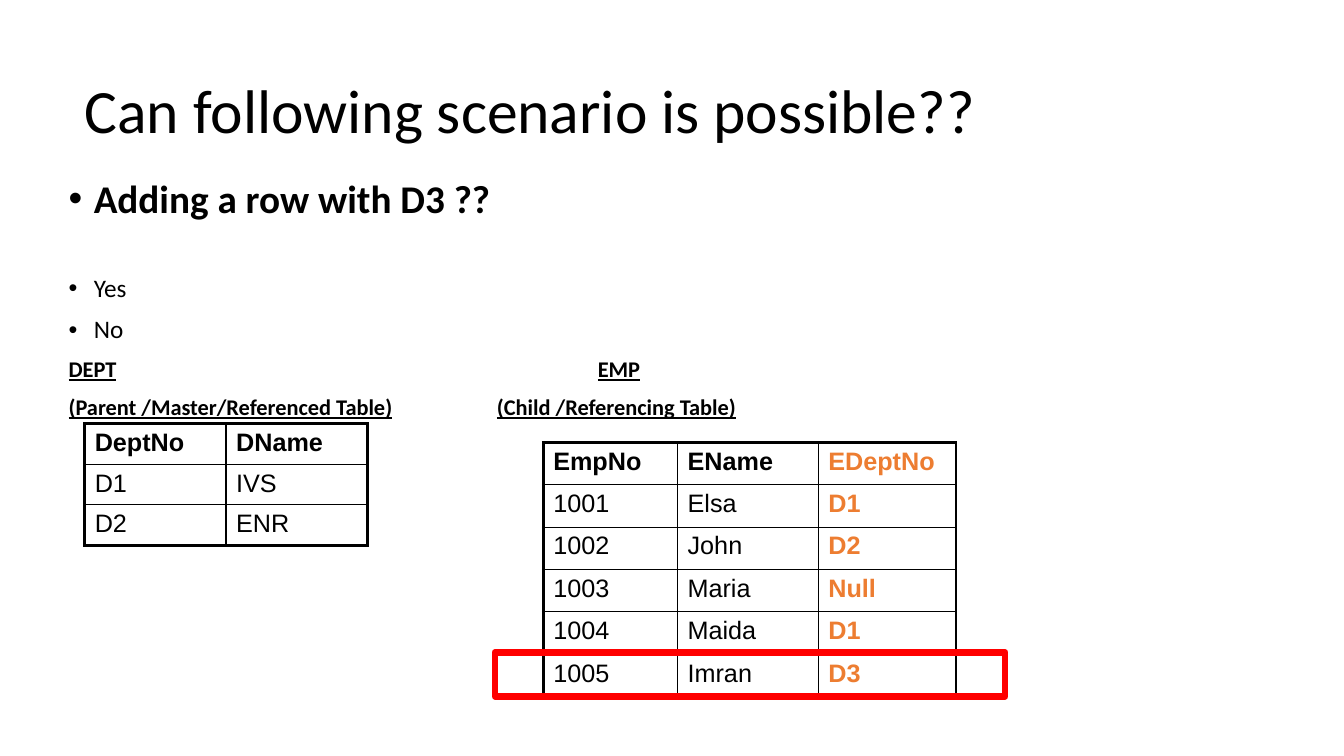
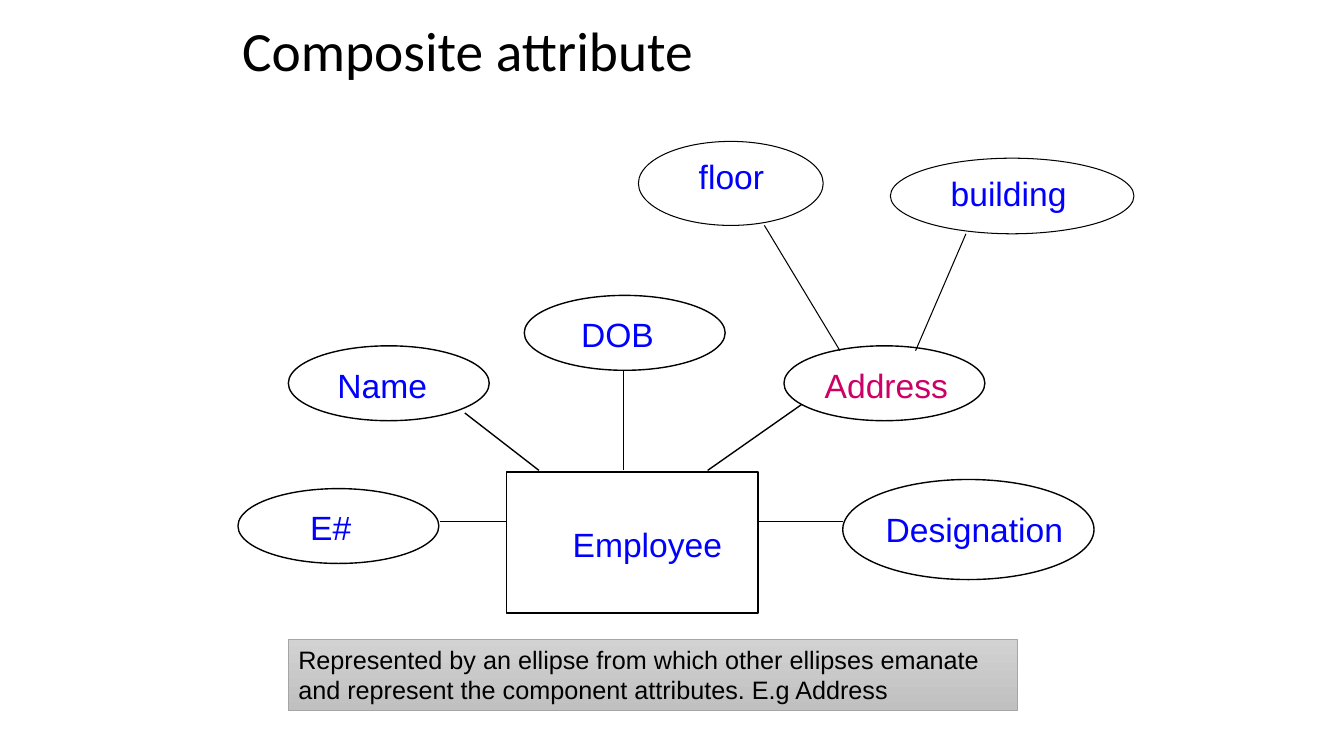
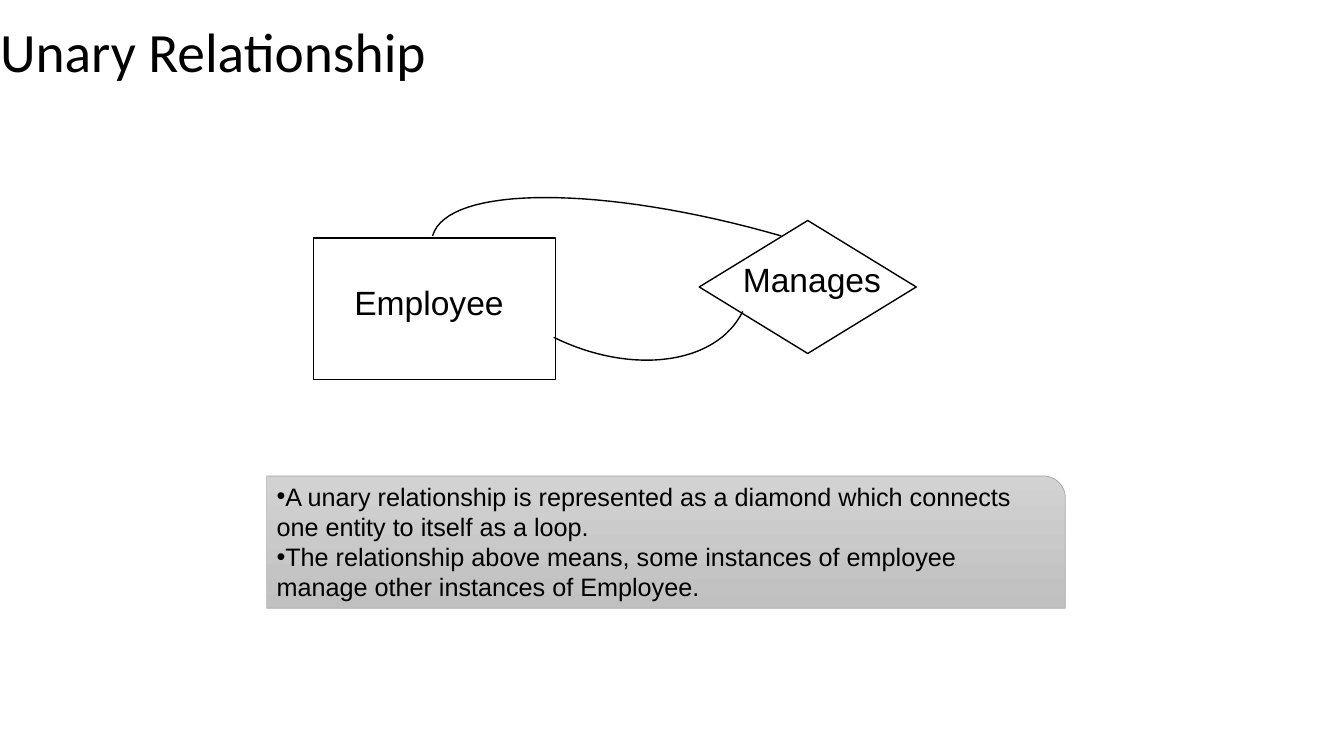
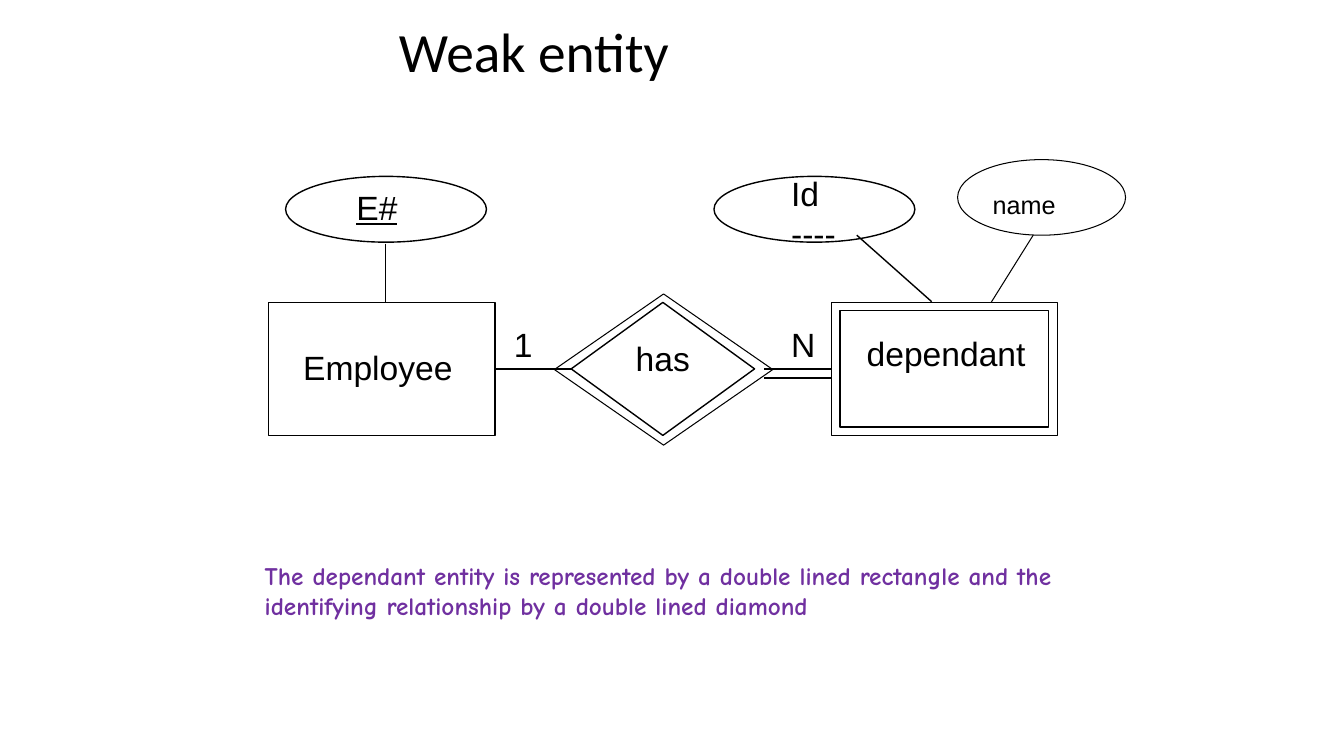
from dataclasses import dataclass

from lxml.etree import SubElement
from pptx import Presentation
from pptx.dml.color import RGBColor
from pptx.enum.shapes import MSO_CONNECTOR, MSO_SHAPE
from pptx.enum.text import MSO_ANCHOR, PP_ALIGN
from pptx.oxml.ns import qn
from pptx.util import Pt

BLACK = RGBColor(0x00, 0x00, 0x00)
BLUE = RGBColor(0x00, 0x00, 0xFF)
MAGENTA = RGBColor(0xCC, 0x00, 0x66)
ORANGE = RGBColor(0xED, 0x7D, 0x31)
PURPLE = RGBColor(0x70, 0x30, 0xA0)
RED = RGBColor(0xFF, 0x00, 0x00)
NOTE_TOP = RGBColor(0xD2, 0xD2, 0xD2)
NOTE_BOTTOM = RGBColor(0xC0, 0xC0, 0xC0)
NOTE_EDGE = RGBColor(0xA5, 0xA5, 0xA5)

HEADING_FONT = "Calibri"
LABEL_FONT = "Arial"
NOTE_FONT = "Comic Neue"
OUTER_BORDER = 2.25
INNER_BORDER = 1
CURVE_STEPS = 32

OVAL = MSO_SHAPE.OVAL
RECTANGLE = MSO_SHAPE.RECTANGLE
DIAMOND = MSO_SHAPE.DIAMOND


@dataclass(frozen=True)
class Area:
    left: float
    top: float
    width: float
    height: float

    def lengths(self) -> tuple:
        return Pt(self.left), Pt(self.top), Pt(self.width), Pt(self.height)


@dataclass(frozen=True)
class Figure:
    kind: MSO_SHAPE
    area: Area
    weight: float = 1
    color: RGBColor = BLACK


@dataclass(frozen=True)
class Label:
    text: str
    area: Area
    color: RGBColor = BLACK
    size: float = 24
    underline: bool = False
    bold: bool = False
    font: str = LABEL_FONT


@dataclass(frozen=True)
class Link:
    start: tuple[float, float]
    end: tuple[float, float]
    weight: float = 1


@dataclass(frozen=True)
class Grid:
    left: float
    top: float
    columns: tuple[float, ...]
    row_height: float
    rows: tuple[tuple[str, ...], ...]
    key_column: int = -1


@dataclass(frozen=True)
class Line:
    spans: tuple[str, ...]
    size: float
    before: float = 9
    bold: bool = False
    bullet: bool = False
    tab: float = 0


def style_font(font, name: str, size: float, color: RGBColor, bold: bool = False) -> None:
    font.name, font.size, font.bold = name, Pt(size), bold
    font.color.rgb = color


def add_bullet(paragraph, hang: float = 0) -> None:
    properties = paragraph._p.get_or_add_pPr()
    properties.set("marL", str(Pt(hang)))
    properties.set("indent", str(-Pt(hang)))
    SubElement(properties, qn("a:buFont")).set("typeface", "Arial")
    SubElement(properties, qn("a:buChar")).set("char", "•")


def add_tab(paragraph, position: float) -> None:
    stops = SubElement(paragraph._p.get_or_add_pPr(), qn("a:tabLst"))
    stop = SubElement(stops, qn("a:tab"))
    stop.set("pos", str(Pt(position)))
    stop.set("algn", "l")


def add_box(page, area: Area):
    frame = page.shapes.add_textbox(*area.lengths()).text_frame
    frame.word_wrap = True
    return frame


def add_title(page, text: str, area: Area, size: float = 39.6, align=PP_ALIGN.LEFT) -> None:
    frame = add_box(page, area)
    frame.margin_left = 0
    frame.vertical_anchor = MSO_ANCHOR.MIDDLE
    paragraph = frame.paragraphs[0]
    paragraph.text = text
    paragraph.alignment = align
    paragraph.line_spacing = 0.9
    style_font(paragraph.font, HEADING_FONT, size, BLACK)


def add_label(page, label: Label) -> None:
    frame = add_box(page, label.area)
    frame.text = label.text
    for paragraph in frame.paragraphs:
        style_font(paragraph.font, label.font, label.size, label.color, label.bold)
        paragraph.font.underline = label.underline


def outline(shape, weight: float, color: RGBColor = BLACK) -> None:
    shape.line.width = Pt(weight)
    shape.line.color.rgb = color


def add_figure(page, figure: Figure):
    shape = page.shapes.add_shape(figure.kind, *figure.area.lengths())
    shape.shadow.inherit = False
    shape.fill.background()
    outline(shape, figure.weight, figure.color)
    return shape


def add_link(page, link: Link):
    ends = [Pt(value) for value in link.start + link.end]
    connector = page.shapes.add_connector(MSO_CONNECTOR.STRAIGHT, *ends)
    outline(connector, link.weight)
    SubElement(connector._element.spPr, qn("a:effectLst"))
    return connector


def add_curve(page, points: tuple[tuple[float, float], ...]) -> None:
    def at(step: int) -> tuple[int, int]:
        t = step / CURVE_STEPS
        weights = ((1 - t) ** 3, 3 * t * (1 - t) ** 2, 3 * t * t * (1 - t), t**3)
        return tuple(
            Pt(sum(weight * point[axis] for weight, point in zip(weights, points)))
            for axis in (0, 1)
        )

    builder = page.shapes.build_freeform(*at(0))
    builder.add_line_segments([at(step) for step in range(1, CURVE_STEPS + 1)], close=False)
    curve = builder.convert_to_shape()
    curve.shadow.inherit = False
    curve.fill.background()
    outline(curve, 1)


def add_note(page, kind, area: Area, texts: tuple[str, ...], bullets: bool = False) -> None:
    note = add_figure(page, Figure(kind, area, 0.5, NOTE_EDGE))
    note.fill.gradient()
    note.fill.gradient_angle = 270
    for stop, color in zip(note.fill.gradient_stops, (NOTE_TOP, NOTE_BOTTOM)):
        stop.color.rgb = color
    frame = note.text_frame
    frame.word_wrap = True
    frame.vertical_anchor = MSO_ANCHOR.TOP
    frame.text = "\n".join(texts)
    for paragraph in frame.paragraphs:
        if bullets:
            add_bullet(paragraph)
        paragraph.alignment = PP_ALIGN.LEFT
        style_font(paragraph.font, LABEL_FONT, 18, BLACK)


def set_border(cell, side: str, weight: float) -> None:
    border = SubElement(cell._tc.get_or_add_tcPr(), qn(f"a:{side}"))
    border.set("w", str(Pt(weight)))
    fill = SubElement(border, qn("a:solidFill"))
    SubElement(fill, qn("a:srgbClr")).set("val", str(BLACK))


def add_grid(page, grid: Grid) -> None:
    last_row, last_column = len(grid.rows) - 1, len(grid.columns) - 1
    area = Area(grid.left, grid.top, sum(grid.columns), grid.row_height * len(grid.rows))
    table = page.shapes.add_table(last_row + 1, last_column + 1, *area.lengths()).table
    table.first_row = table.horz_banding = False
    for column, width in zip(table.columns, grid.columns):
        column.width = Pt(width)
    for r, texts in enumerate(grid.rows):
        table.rows[r].height = Pt(grid.row_height)
        for c, text in enumerate(texts):
            cell = table.cell(r, c)
            edges = {"lnL": c == 0, "lnR": c == last_column, "lnT": r == 0, "lnB": r == last_row}
            for side, outer in edges.items():
                set_border(cell, side, OUTER_BORDER if outer else INNER_BORDER)
            cell.fill.background()
            paragraph = cell.text_frame.paragraphs[0]
            paragraph.text = text
            key = c == grid.key_column
            style_font(paragraph.font, LABEL_FONT, 18, ORANGE if key else BLACK, key or r == 0)


def add_question(page, area: Area, lines: tuple[Line, ...]) -> None:
    frame = add_box(page, area)
    frame.margin_left = frame.margin_top = 0
    for index, line in enumerate(lines):
        paragraph = frame.add_paragraph() if index else frame.paragraphs[0]
        if line.bullet:
            add_bullet(paragraph, 18)
        if line.tab:
            add_tab(paragraph, line.tab)
        if index:
            paragraph.space_before = Pt(line.before)
            paragraph.line_spacing = 0.9
        for text in line.spans:
            span = paragraph.add_run()
            span.text = text
            if line.tab:
                span.font.underline = text != "\t"
        style_font(paragraph.font, HEADING_FONT, line.size, BLACK, line.bold)


def draw_diagram(page, figures=(), links=(), labels=()) -> None:
    for figure in figures:
        add_figure(page, figure)
    for link in links:
        add_link(page, link)
    for label in labels:
        add_label(page, label)


def build_scenario(page) -> None:
    add_title(page, "Can following scenario is possible??", Area(60.5, 29, 767.5, 104.5), 44)
    add_question(page, Area(49, 124.5, 623.5, 361), (
        Line(("Adding a row with D3 ??",), 28, bold=True, bullet=True),
        Line(("Yes",), 18, before=39, bullet=True),
        Line(("No",), 18, before=10, bullet=True),
        Line(("DEPT", "\t", "EMP"), 16, before=10, bold=True, tab=378),
        Line(("(Parent /Master/Referenced Table)", "\t", "(Child /Referencing Table)"),
             16, before=10, bold=True, tab=306),
    ))
    add_grid(page, Grid(60.5, 302.5, (101, 101), 29, (
        ("DeptNo", "DName"), ("D1", "IVS"), ("D2", "ENR"),
    )))
    add_grid(page, Grid(388, 316, (96, 100.5, 98.5), 30.25, (
        ("EmpNo", "EName", "EDeptNo"),
        ("1001", "Elsa", "D1"),
        ("1002", "John", "D2"),
        ("1003", "Maria", "Null"),
        ("1004", "Maida", "D1"),
        ("1005", "Imran", "D3"),
    ), key_column=2))
    add_figure(page, Figure(RECTANGLE, Area(353.5, 466, 364.5, 31.5), 4.5, RED))


def build_composite(page) -> None:
    add_title(page, "Composite attribute", Area(0, 18, 675, 40.5), align=PP_ALIGN.CENTER)
    attributes = ((206, 247), (170, 349), (374.5, 211), (560, 247))
    draw_diagram(
        page,
        [Figure(OVAL, Area(left, top, 143.5, 53.5)) for left, top in attributes] + [
            Figure(RECTANGLE, Area(362, 337, 179.5, 101)),
            Figure(OVAL, Area(602, 342.5, 179.5, 71.5)),
            Figure(OVAL, Area(456, 101, 132, 60), 0.75),
            Figure(OVAL, Area(636, 113, 174, 54), 0.75),
        ],
        (
            Link((314, 372.5), (361.5, 372.5)),
            Link((332, 295), (385, 336)),
            Link((445.5, 265), (445.5, 336)),
            Link((572.5, 289), (505.5, 336)),
            Link((602, 372.5), (541.5, 372.5)),
            Link((546, 161), (600, 250.5), 0.75),
            Link((690, 167), (654, 250.5), 0.75),
        ),
        (
            Label("Employee", Area(402, 371, 124, 36), BLUE),
            Label("E#", Area(214.5, 358.5, 46, 36), BLUE),
            Label("Name", Area(234, 257, 81, 36), BLUE),
            Label("DOB", Area(408, 221, 69, 36), BLUE),
            Label("Address", Area(582, 257, 106, 36), MAGENTA),
            Label("Designation", Area(625.5, 360, 148.5, 36), BLUE),
            Label("floor", Area(492, 108, 84, 36), BLUE),
            Label("building", Area(672, 120, 114, 36), BLUE),
        ),
    )
    add_note(page, RECTANGLE, Area(206, 456.5, 520.5, 51), (
        "Represented by an ellipse from which other ellipses emanate and represent "
        "the component attributes. E.g Address",
    ))


def build_unary(page) -> None:
    add_title(page, "Unary Relationship", Area(0, 18.5, 675, 40.5))
    draw_diagram(
        page,
        figures=(
            Figure(RECTANGLE, Area(224, 170, 173, 101)),
            Figure(DIAMOND, Area(499.5, 157.5, 155, 95)),
        ),
        labels=(
            Label("Employee", Area(246, 198, 124, 36)),
            Label("Manages", Area(523.5, 181.5, 116, 36)),
        ),
    )
    add_curve(page, ((530.5, 222.5), (512, 260.5), (451.5, 268.5), (395.5, 241)))
    add_curve(page, ((309, 168.5), (319.5, 132), (431, 132), (558, 168.5)))
    add_note(page, MSO_SHAPE.ROUND_1_RECTANGLE, Area(190.5, 340, 570.5, 94.5), (
        "A unary relationship is represented as a diamond which connects one entity "
        "to itself as a loop.",
        "The relationship above means, some instances of employee manage other "
        "instances of Employee.",
    ), bullets=True)


def build_weak(page) -> None:
    add_title(page, "Weak entity", Area(285, 18.5, 675, 40.5))
    employee = add_figure(page, Figure(RECTANGLE, Area(192, 216, 161.5, 95)))
    dependant = add_figure(page, Figure(RECTANGLE, Area(594, 216, 161.5, 95)))
    relationship = add_figure(page, Figure(DIAMOND, Area(408, 216, 131, 95)))
    owner_link = add_link(page, Link((353.5, 263.5), (408, 263.5)))
    owner_link.begin_connect(employee, 3)
    owner_link.end_connect(relationship, 1)
    add_link(page, Link((546, 263.5), (594, 263.5))).end_connect(dependant, 1)
    draw_diagram(
        page,
        (
            Figure(DIAMOND, Area(396, 210, 156, 108), 0.75),
            Figure(RECTANGLE, Area(600, 222, 149, 83)),
            Figure(OVAL, Area(204, 126, 143.5, 47)),
            Figure(OVAL, Area(510, 126, 143.5, 47)),
            Figure(OVAL, Area(684, 114, 120, 54), 0.75),
        ),
        (
            Link((546, 270), (594, 270), 0.75),
            Link((275.5, 174), (275.5, 215.5)),
            Link((612, 168), (665.5, 215.5)),
            Link((738, 168), (708, 216), 0.75),
        ),
        (
            Label("Employee", Area(209.5, 244, 124, 36)),
            Label("E#", Area(247.5, 130, 46, 36), underline=True),
            Label("has", Area(447, 237.5, 55, 36)),
            Label("dependant", Area(612, 234, 131, 36)),
            Label("Id\n----", Area(558, 120, 54, 65.5)),
            Label("1", Area(360, 228, 30, 36)),
            Label("N", Area(558, 228, 34, 36)),
            Label("name", Area(702, 132, 72, 29), size=18),
            Label(
                "The dependant entity is represented by a double lined rectangle and the "
                "identifying relationship by a double lined diamond",
                Area(182, 396.5, 582, 50.5), PURPLE, 18, bold=True, font=NOTE_FONT,
            ),
        ),
    )


def main() -> None:
    deck = Presentation()
    deck.slide_width, deck.slide_height = Pt(960), Pt(540)
    for build in (build_scenario, build_composite, build_unary, build_weak):
        build(deck.slides.add_slide(deck.slide_layouts[6]))
    deck.save("out.pptx")


if __name__ == "__main__":
    main()
